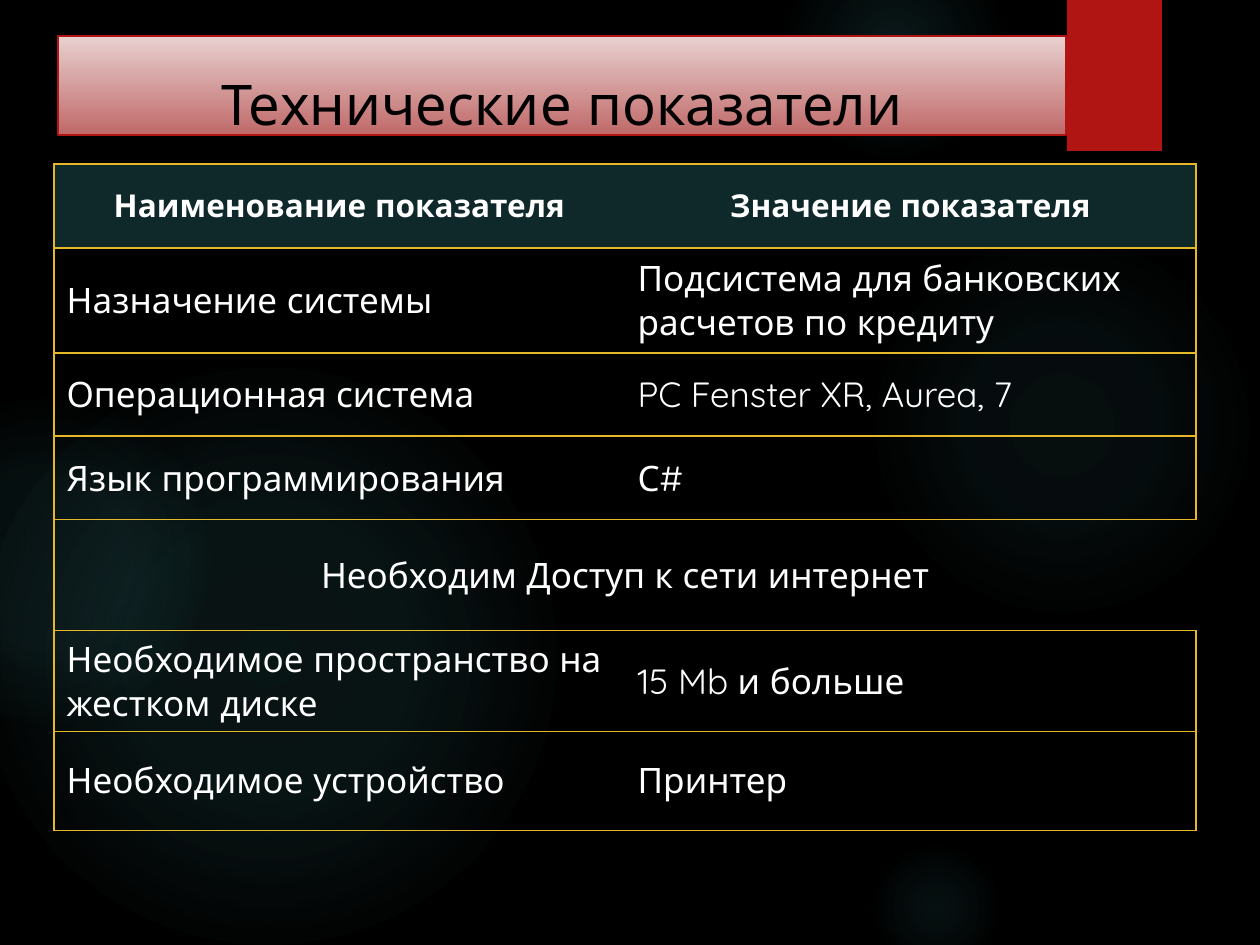
from dataclasses import dataclass

from lxml.etree import SubElement
from pptx import Presentation
from pptx.dml.color import RGBColor
from pptx.enum.shapes import MSO_SHAPE as Preset
from pptx.enum.text import MSO_ANCHOR as Anchor, MSO_AUTO_SIZE as AutoSize, PP_ALIGN as Align
from pptx.oxml import parse_xml
from pptx.oxml.ns import nsdecls, qn
from pptx.util import Emu, Pt

PX = 914400 / 126


def px(length: int) -> Emu:
    return Emu(round(length * PX))


@dataclass(frozen=True)
class Theme:
    font: str = "Quicksand"
    background: str = "000000"
    glow: str = "50B9C1"
    accent: str = "B01513"
    border: str = "E6B729"
    header: str = "0F282A"
    text: str = "FFFFFF"
    title_text: str = "000000"
    title_top: str = "E8D1D0"
    title_bottom: str = "C06969"
    title_size: int = 32
    header_size: int = 18
    body_size: int = 20
    line_width: float = 0.75


@dataclass(frozen=True)
class Glow:
    left: int
    top: int
    size: int
    stops: tuple[tuple[int, int], ...]


@dataclass(frozen=True)
class Row:
    height: int
    name: str
    value: str | None
    is_header: bool = False


THEME = Theme()

GLOWS = [
    Glow(868, 231, 388, ((0, 7), (36, 6), (69, 0))),
    Glow(784, -63, 220, ((0, 14), (36, 7), (73, 0))),
    Glow(868, 840, 136, ((0, 9), (36, 5), (66, 0))),
    Glow(-21, 368, 577, ((0, 11), (36, 10), (75, 0))),
    Glow(-116, 399, 325, ((0, 8), (36, 8), (72, 0))),
]

ROWS = [
    Row(84, "Наименование показателя", "Значение показателя", True),
    Row(105, "Назначение системы", "Подсистема для банковских расчетов по кредиту"),
    Row(83, "Операционная система", "PC Fenster XR, Aurea, 7"),
    Row(84, "Язык программирования", "С#"),
    Row(111, "Необходим Доступ к сети интернет", None),
    Row(100, "Необходимое пространство на жестком диске", "15 Mb и больше"),
    Row(99, "Необходимое устройство", "Принтер"),
]


def color(value: str) -> RGBColor:
    return RGBColor.from_string(value)


def style_paragraph(paragraph, size: int, text_color: str, bold: bool, align: Align) -> None:
    paragraph.alignment = align
    font = paragraph.font
    font.name, font.size, font.bold = THEME.font, Pt(size), bold
    font.color.rgb = color(text_color)


def draw_glow(slide, glow: Glow) -> None:
    shape = slide.shapes.add_shape(
        Preset.OVAL, px(glow.left), px(glow.top), px(glow.size), px(glow.size))
    shape.shadow.inherit = False
    shape.line.fill.background()
    shape.fill.solid()
    stops = "".join(
        f'<a:gs pos="{position * 1000}"><a:srgbClr val="{THEME.glow}">'
        f'<a:alpha val="{alpha * 1000}"/></a:srgbClr></a:gs>'
        for position, alpha in glow.stops)
    gradient = parse_xml(
        f'<a:gradFill {nsdecls("a")} rotWithShape="1"><a:gsLst>{stops}</a:gsLst>'
        '<a:path path="circle"><a:fillToRect l="50000" t="50000" r="50000" b="50000"/>'
        '</a:path></a:gradFill>')
    properties = shape.element.spPr
    properties.replace(properties.find(qn("a:solidFill")), gradient)


def draw_ribbon(slide) -> None:
    shape = slide.shapes.add_shape(Preset.RECTANGLE, px(1067), 0, px(95), px(151))
    shape.shadow.inherit = False
    shape.fill.solid()
    shape.fill.fore_color.rgb = color(THEME.accent)
    shape.line.fill.background()
    effects = shape.element.spPr.find(qn("a:effectLst"))
    effects.append(parse_xml(
        f'<a:outerShdw {nsdecls("a")} blurRad="{Pt(3)}" dist="{Pt(2)}" dir="5400000" '
        'rotWithShape="0"><a:srgbClr val="000000"><a:alpha val="45000"/></a:srgbClr>'
        '</a:outerShdw>'))


def set_border(cell, side: str, visible: bool) -> None:
    line = SubElement(cell._tc.get_or_add_tcPr(), qn(f"a:ln{side}"))
    if visible:
        line.set("w", str(Pt(THEME.line_width)))
        fill = SubElement(line, qn("a:solidFill"))
        SubElement(fill, qn("a:srgbClr")).set("val", THEME.border)
    else:
        SubElement(line, qn("a:noFill"))


def fill_cell(cell, text: str, row: Row) -> None:
    cell.vertical_anchor = Anchor.MIDDLE
    cell.text = text
    centered = row.is_header or row.value is None
    style_paragraph(
        cell.text_frame.paragraphs[0],
        THEME.header_size if row.is_header else THEME.body_size,
        THEME.text, row.is_header, Align.CENTER if centered else Align.LEFT)


def draw_table(slide, rows: list[Row]) -> None:
    height = sum(row.height for row in rows)
    table = slide.shapes.add_table(
        len(rows), 2, px(54), px(164), px(1142), px(height)).table
    table.first_row = table.horz_banding = False
    for index, row in enumerate(rows):
        table.rows[index].height = px(row.height)
        name, value = table.cell(index, 0), table.cell(index, 1)
        for cell, sides in ((name, "LTB"), (value, "RTB")):
            for side in "LRTB":
                set_border(cell, side, side in sides)
            if row.is_header:
                cell.fill.solid()
                cell.fill.fore_color.rgb = color(THEME.header)
            else:
                cell.fill.background()
        fill_cell(name, row.name, row)
        if row.value is None:
            name.merge(value)
        else:
            fill_cell(value, row.value, row)


def draw_title(slide, text: str) -> None:
    title = slide.shapes.title
    title.left, title.top, title.width, title.height = px(58), px(36), px(1008), px(99)
    title.fill.gradient()
    title.fill.gradient_angle = 270
    for stop, stop_color in zip(
            title.fill.gradient_stops, (THEME.title_top, THEME.title_bottom)):
        stop.color.rgb = color(stop_color)
    title.line.color.rgb = color(THEME.accent)
    title.line.width = Pt(THEME.line_width)
    frame = title.text_frame
    frame.text = text
    frame.auto_size = AutoSize.NONE
    frame.vertical_anchor = Anchor.MIDDLE
    paragraph = frame.paragraphs[0]
    paragraph.line_spacing = Pt(58)
    style_paragraph(paragraph, THEME.title_size, THEME.title_text, False, Align.CENTER)
    slide.shapes._spTree.append(title.element)


def main() -> None:
    presentation = Presentation()
    presentation.slide_width, presentation.slide_height = px(1260), px(945)
    slide = presentation.slides.add_slide(presentation.slide_layouts[5])
    slide.background.fill.solid()
    slide.background.fill.fore_color.rgb = color(THEME.background)
    for glow in GLOWS:
        draw_glow(slide, glow)
    draw_ribbon(slide)
    draw_table(slide, ROWS)
    draw_title(slide, "Технические показатели")
    presentation.save("out.pptx")


if __name__ == "__main__":
    main()
